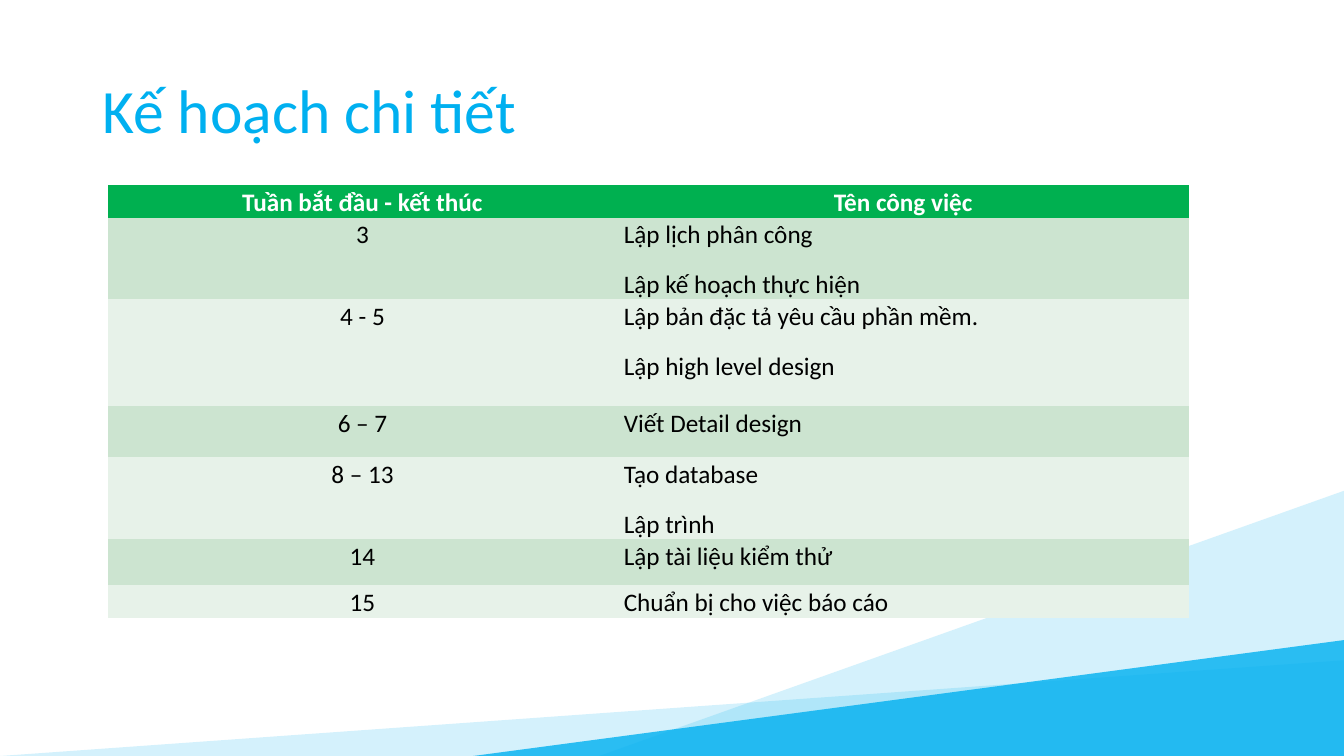
from lxml import etree
from pptx import Presentation
from pptx import util as u
from pptx.dml.color import RGBColor
from pptx.enum import shapes, text
from pptx.oxml import ns

BLUE = RGBColor(0x00, 0xB0, 0xF0)
GREEN = RGBColor(0x00, 0xB0, 0x50)
DARK_BAND = RGBColor(0xCC, 0xE4, 0xD0)
LIGHT_BAND = RGBColor(0xE7, 0xF2, 0xE9)
WHITE = RGBColor(0xFF, 0xFF, 0xFF)
BLACK = RGBColor(0x00, 0x00, 0x00)

WIDTH, HEIGHT = 960, 540
NO_GRID_STYLE = "{2D5ABB26-0587-4C30-8999-92F81FD0307C}"

# Width, height and opacity of the corner wedges
WEDGES = [(960, 68.4, 17), (532, 189.4, 17), (622, 82.8, 80)]

HEADER = ("Tuần bắt đầu - kết thúc", ["Tên công việc"], 12.2)
# Weeks, tasks and row height
PLAN = [
    ("3", ["Lập lịch phân công", "Lập kế hoạch thực hiện"], 54.7),
    ("4 - 5", ["Lập bản đặc tả yêu cầu phần mềm.", "Lập high level design"], 76.3),
    ("6 – 7", ["Viết Detail design"], 36.7),
    ("8 – 13", ["Tạo database", "Lập trình"], 36),
    ("14", ["Lập tài liệu kiểm thử"], 33.1),
    ("15", ["Chuẩn bị cho việc báo cáo"], 12.2),
]


def apply(obj, values):
    for name, value in values.items():
        setattr(obj, name, value)


class Deck:
    FONT = "Calibri"
    CELL = dict(margin_left=u.Pt(4.5), margin_right=u.Pt(4.5),
                margin_top=0, margin_bottom=0)
    CELL_PARA = dict(line_spacing=1.07, space_before=u.Pt(6), space_after=u.Pt(6))

    def __init__(self):
        self.prs = Presentation()
        apply(self.prs, dict(slide_width=u.Pt(WIDTH), slide_height=u.Pt(HEIGHT)))
        self.s = self.prs.slides.add_slide(self.prs.slide_layouts[6])

    def add_lines(self, tf, lines, size, color, bold=False, **para):
        for i, line in enumerate(lines):
            p = tf.paragraphs[0] if i == 0 else tf.add_paragraph()
            apply(p, para)
            r = p.add_run()
            r.text = line
            apply(r.font, dict(name=self.FONT, size=u.Pt(size), bold=bold))
            r.font.color.rgb = color

    def wedge(self, width, height, opacity):
        """Right triangle that rests in the bottom right corner."""
        sp = self.s.shapes.add_shape(
            shapes.MSO_SHAPE.RIGHT_TRIANGLE, u.Pt(WIDTH - width),
            u.Pt(HEIGHT - height), u.Pt(width), u.Pt(height))
        sp.shadow.inherit = False
        sp.line.fill.background()
        sp.fill.solid()
        sp.fill.fore_color.rgb = BLUE
        spPr = sp._element.spPr
        spPr.xfrm.set("flipH", "1")
        clr = spPr.find(".//" + ns.qn("a:srgbClr"))
        etree.SubElement(clr, ns.qn("a:alpha"), val=str(opacity * 1000))

    def title(self, line, x, y, w, h):
        tf = self.s.shapes.add_textbox(u.Pt(x), u.Pt(y), u.Pt(w), u.Pt(h)).text_frame
        apply(tf, dict(word_wrap=True, vertical_anchor=text.MSO_ANCHOR.MIDDLE))
        self.add_lines(tf, [line], 44, BLUE, line_spacing=0.9)

    def cell(self, cell, lines, fill, align, color, bold):
        apply(cell, self.CELL)
        cell.fill.solid()
        cell.fill.fore_color.rgb = fill
        self.add_lines(cell.text_frame, lines, 18, color, bold,
                       alignment=align, **self.CELL_PARA)

    def table(self, rows, x, y, widths):
        heights = [row[-1] for row in rows]
        frame = self.s.shapes.add_table(
            len(rows), len(widths), u.Pt(x), u.Pt(y),
            u.Pt(sum(widths)), u.Pt(sum(heights)))
        tbl = frame.table
        frame._element.find(".//" + ns.qn("a:tableStyleId")).text = NO_GRID_STYLE
        for col, width in zip(tbl.columns, widths):
            col.width = u.Pt(width)
        center, left = text.PP_ALIGN.CENTER, text.PP_ALIGN.LEFT
        for i, (weeks, tasks, height) in enumerate(rows):
            tbl.rows[i].height = u.Pt(height)
            head = i == 0
            fill = GREEN if head else DARK_BAND if i % 2 else LIGHT_BAND
            color = WHITE if head else BLACK
            self.cell(tbl.cell(i, 0), [weeks], fill, center, color, head)
            self.cell(tbl.cell(i, 1), tasks, fill, center if head else left, color, head)


def main():
    deck = Deck()
    # Background wedges
    for wedge in WEDGES:
        deck.wedge(*wedge)
    # Heading and schedule
    deck.title("Kế hoạch chi tiết", 66, 28.8, 828, 104.4)
    deck.table([HEADER] + PLAN, 76.8, 132.4, [364.3, 408.2])
    deck.prs.save("out.pptx")


if __name__ == "__main__":
    main()
